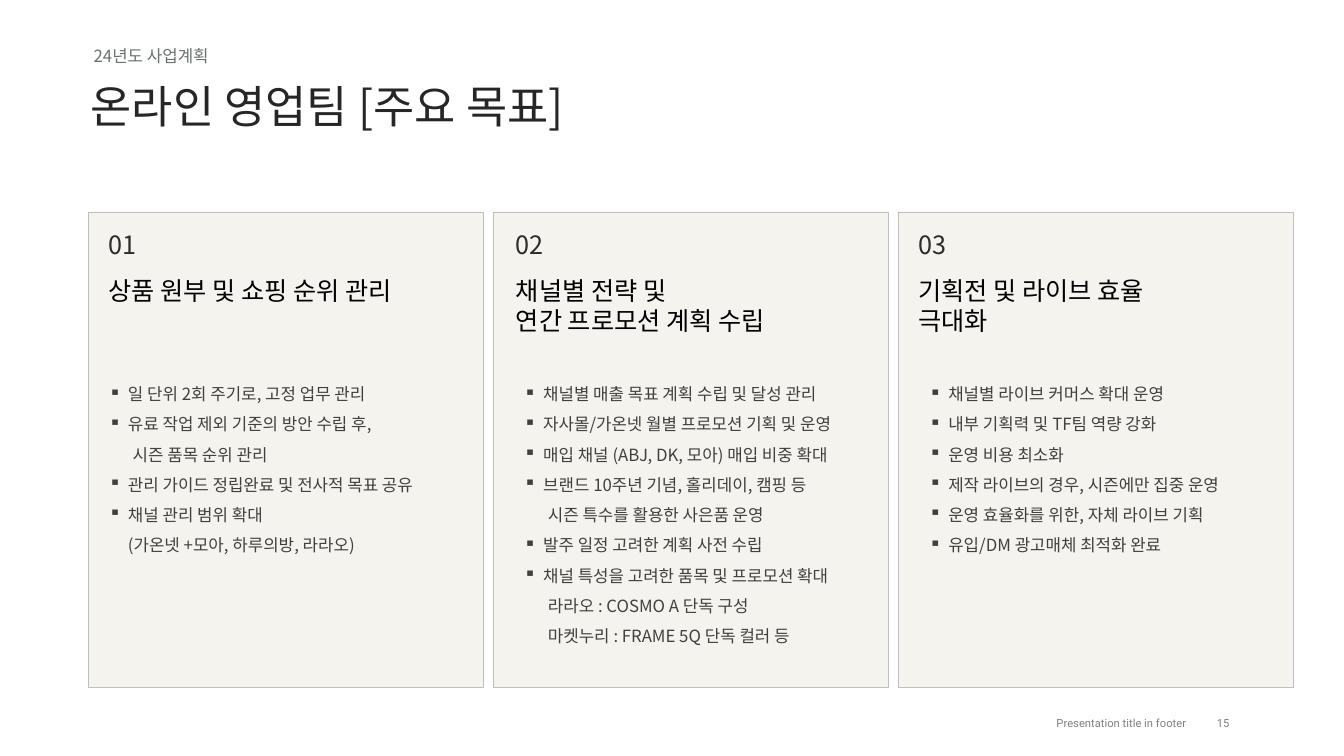
from dataclasses import dataclass

from lxml import etree
from pptx import Presentation
from pptx.dml.color import RGBColor
from pptx.enum.shapes import MSO_SHAPE
from pptx.enum.text import MSO_ANCHOR, MSO_AUTO_SIZE, PP_ALIGN
from pptx.oxml.ns import qn
from pptx.util import Pt

RECTANGLE = MSO_SHAPE.RECTANGLE
TOP, MIDDLE = MSO_ANCHOR.TOP, MSO_ANCHOR.MIDDLE
GROW, FIXED = MSO_AUTO_SIZE.SHAPE_TO_FIT_TEXT, MSO_AUTO_SIZE.NONE
LEFT, CENTER, RIGHT = PP_ALIGN.LEFT, PP_ALIGN.CENTER, PP_ALIGN.RIGHT

KOREAN, LATIN = "Noto Sans CJK KR", "Roboto"
COLORS = {
    "title": "262626", "kicker": "69726D", "footer": "808080",
    "card": "F4F3EE", "border": "BFBFBF",
    "number": "2C2C2D", "heading": "000000", "body": "404040",
}
CARD_LEFT, CARD_TOP, CARD_PITCH = 63.3, 151.2, 289.1
CARD_WIDTH, CARD_HEIGHT = 282.2, 339.8
NUMBER_TOP, HEADING_TOP, BODY_TOP = 160.6, 193, 263.5
HANG, DEEP = 13.7, 17.1


@dataclass(frozen=True)
class Line:
    text: str
    indent: float = 0
    bullet: bool = False


@dataclass(frozen=True)
class Style:
    size: float
    color: str
    spacing: float
    font: str = KOREAN
    align: PP_ALIGN = LEFT
    anchor: MSO_ANCHOR = TOP
    auto_size: MSO_AUTO_SIZE = GROW
    inset_x: float = 7.2
    inset_y: float = 3.6


@dataclass(frozen=True)
class Goal:
    number: str
    heading: list[str]
    items: list[Line]
    heading_left: float
    heading_width: float
    body_left: float
    body_width: float


TITLE = Style(32, "title", 41.7, inset_x=3.6)
KICKER = Style(12, "kicker", 15.6, inset_x=3.6)
NUMBER = Style(18, "number", 21.6)
HEADING = Style(18, "heading", 21.6)
BODY = Style(12, "body", 21.6)
FOOTER = Style(8, "footer", 9.6, LATIN, RIGHT, MIDDLE, FIXED, 0, 0)
PAGE = Style(8, "footer", 9.6, LATIN, CENTER, MIDDLE, FIXED, 0, 0)


def item(text: str) -> Line:
    return Line(text, HANG, True)


GOALS = [
    Goal("01", ["상품 원부 및 쇼핑 순위 관리"], [
        item("일 단위 2회 주기로, 고정 업무 관리"),
        item("유료 작업 제외 기준의 방안 수립 후,"),
        Line("시즌 품목 순위 관리", DEEP),
        item("관리 가이드 정립완료 및 전사적 목표 공유"),
        item("채널 관리 범위 확대"),
        Line("(가온넷 +모아, 하루의방, 라라오)", HANG),
    ], 70.6, 274.3, 70.6, 274.3),
    Goal("02", ["채널별 전략 및", "연간 프로모션 계획 수립"], [
        item("채널별 매출 목표 계획 수립 및 달성 관리"),
        item("자사몰/가온넷 월별 프로모션 기획 및 운영"),
        item("매입 채널 (ABJ, DK, 모아) 매입 비중 확대"),
        item("브랜드 10주년 기념, 홀리데이, 캠핑 등"),
        Line("시즌 특수를 활용한 사은품 운영", DEEP),
        item("발주 일정 고려한 계획 사전 수립"),
        item("채널 특성을 고려한 품목 및 프로모션 확대"),
        Line("라라오 : COSMO A 단독 구성", DEEP),
        Line("마켓누리 : FRAME 5Q 단독 컬러 등", DEEP),
    ], 361.4, 280.1, 367.2, 267.1),
    Goal("03", ["기획전 및 라이브 효율 극대화"], [
        item("채널별 라이브 커머스 확대 운영"),
        item("내부 기획력 및 TF팀 역량 강화"),
        item("운영 비용 최소화"),
        item("제작 라이브의 경우, 시즌에만 집중 운영"),
        item("운영 효율화를 위한, 자체 라이브 기획"),
        item("유입/DM 광고매체 최적화 완료"),
    ], 648.7, 221.8, 656.6, 267.1),
]


def set_all(target, values: dict) -> None:
    for attribute, value in values.items():
        setattr(target, attribute, value)


def rgb(name: str) -> RGBColor:
    return RGBColor.from_string(COLORS[name])


def write(holder, lines: list[Line], style: Style) -> None:
    frame = holder.text_frame
    set_all(frame, {
        "word_wrap": True, "auto_size": style.auto_size,
        "vertical_anchor": style.anchor,
        "margin_left": Pt(style.inset_x), "margin_right": Pt(style.inset_x),
        "margin_top": Pt(style.inset_y), "margin_bottom": Pt(style.inset_y),
    })
    for index, line in enumerate(lines):
        paragraph = frame.add_paragraph() if index else frame.paragraphs[0]
        set_all(paragraph, {"alignment": style.align, "line_spacing": Pt(style.spacing)})
        properties = paragraph._p.get_or_add_pPr()
        properties.set("marL", str(int(Pt(line.indent))))
        properties.set("indent", str(int(Pt(-line.indent if line.bullet else 0))))
        if line.bullet:
            etree.SubElement(properties, qn("a:buChar")).set("char", "▪")
        run = paragraph.add_run()
        run.text = line.text
        set_all(run.font, {"name": style.font, "size": Pt(style.size)})
        run.font.color.rgb = rgb(style.color)
        east_asian = etree.SubElement(run._r.get_or_add_rPr(), qn("a:ea"))
        east_asian.set("typeface", style.font)


def add_text(slide, lines: list[Line], style: Style,
             left: float, top: float, width: float, height: float) -> None:
    box = slide.shapes.add_textbox(Pt(left), Pt(top), Pt(width), Pt(height))
    write(box, lines, style)


def add_goal(slide, goal: Goal, column: int) -> None:
    card = slide.shapes.add_shape(
        RECTANGLE, Pt(CARD_LEFT + column * CARD_PITCH), Pt(CARD_TOP),
        Pt(CARD_WIDTH), Pt(CARD_HEIGHT))
    card.shadow.inherit = False
    card.fill.solid()
    card.fill.fore_color.rgb = rgb("card")
    card.line.color.rgb = rgb("border")
    card.line.width = Pt(0.25)

    heading = [Line(text) for text in goal.heading]
    add_text(slide, [Line(goal.number)], NUMBER, goal.heading_left, NUMBER_TOP, 41.8, 28.8)
    add_text(slide, heading, HEADING, goal.heading_left, HEADING_TOP,
             goal.heading_width, 7.2 + HEADING.spacing * len(heading))
    add_text(slide, goal.items, BODY, goal.body_left, BODY_TOP,
             goal.body_width, 7.2 + BODY.spacing * len(goal.items))


def main() -> None:
    presentation = Presentation()
    set_all(presentation, {"slide_width": Pt(960), "slide_height": Pt(540)})
    slide = presentation.slides.add_slide(presentation.slide_layouts[5])

    title = slide.shapes.title
    set_all(title, {"left": Pt(61.2), "top": Pt(49), "width": Pt(436.3), "height": Pt(48.9)})
    write(title, [Line("온라인 영업팀 [주요 목표]")], TITLE)
    add_text(slide, [Line("24년도 사업계획")], KICKER, 63.3, 28.1, 288, 22.8)

    for column, goal in enumerate(GOALS):
        add_goal(slide, goal, column)

    add_text(slide, [Line("Presentation title in footer")], FOOTER, 614.9, 505.4, 232.6, 22.3)
    add_text(slide, [Line("15")], PAGE, 847.4, 505.4, 52.6, 22.3)
    presentation.save("out.pptx")


if __name__ == "__main__":
    main()
